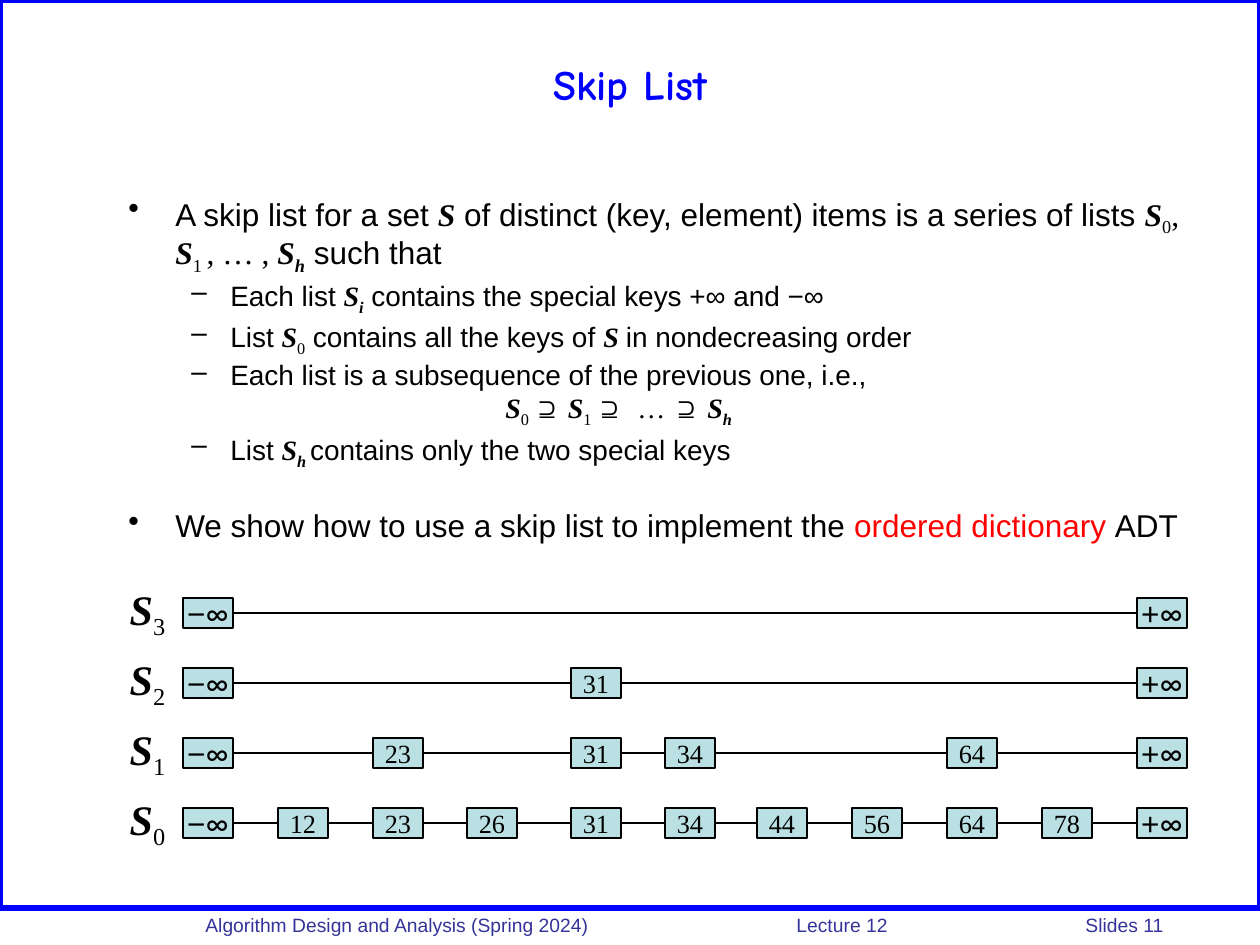
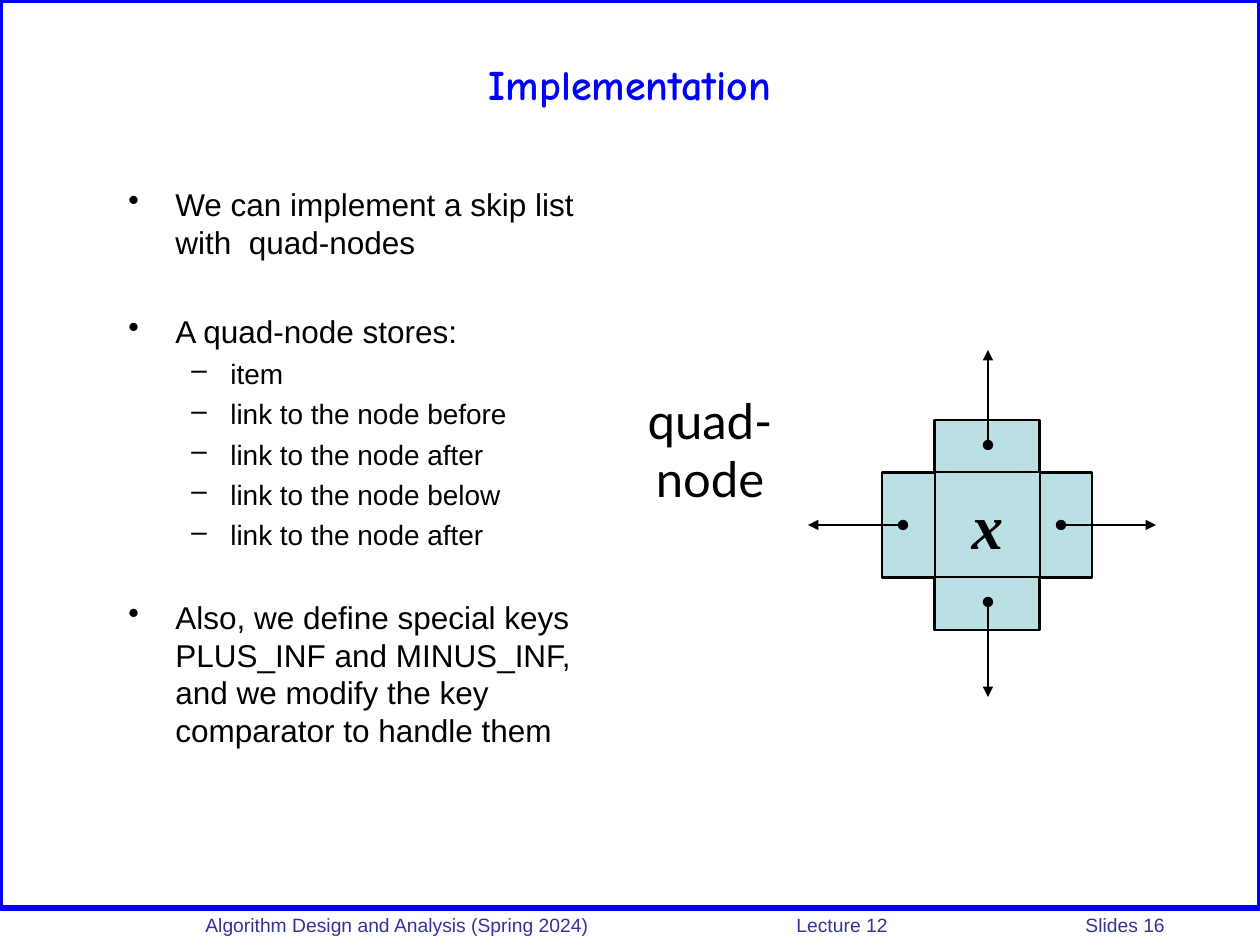
from dataclasses import dataclass
from itertools import pairwise
from typing import Sequence

from lxml.etree import SubElement
from pptx import Presentation
from pptx.dml.color import RGBColor
from pptx.enum.shapes import MSO_CONNECTOR, MSO_SHAPE
from pptx.enum.text import MSO_ANCHOR, PP_ALIGN
from pptx.oxml.ns import qn
from pptx.util import Emu, Pt

PX = 914400 / 126
BLUE = RGBColor(0x00, 0x00, 0xFF)
INDIGO = RGBColor(0x33, 0x33, 0x99)
BLACK = RGBColor(0x00, 0x00, 0x00)
RED = RGBColor(0xFF, 0x00, 0x00)
AQUA = RGBColor(0xBB, 0xE0, 0xE3)
SANS, SERIF, TITLE_FONT, LATO = "Arial", "Times New Roman", "Comic Neue", "Lato"

FOOTER_STOPS = (25, 616, 905)
NODE_WIDTH, NODE_HEIGHT = 50, 30
FIRST_ROW_TOP, ROW_PITCH = 598, 70
MINUS_INF, PLUS_INF = "−∞", "+∞"
NODE_LEFTS = {MINUS_INF: 183, "12": 278, "23": 373, "26": 467, "31": 571, "34": 665,
              "44": 757, "56": 852, "64": 947, "78": 1042, PLUS_INF: 1137}


@dataclass(frozen=True)
class Run:
    """A stretch of text in one format."""
    text: str
    font: str = SANS
    bold: bool = False
    italic: bool = False
    lowered: bool = False
    color: RGBColor = BLACK


@dataclass(frozen=True)
class Level:
    """The look of one outline level, with lengths in px."""
    size: int
    margin: int
    hanging: int = 0
    bullet: str = ""
    space_ratio: float = 0.24


@dataclass(frozen=True)
class Item:
    """One outline paragraph, with an optional extra gap above in points."""
    level: Level
    runs: Sequence[Run]
    gap: float = 0


@dataclass(frozen=True)
class SkipRow:
    """One list of the skip list, named by its index."""
    index: str
    keys: Sequence[str]


@dataclass(frozen=True)
class Pointer:
    """An arrow leaving the node centre, starting at a distance in px."""
    across: int
    down: int
    start: int


POINT = Level(18, 47, 47, "•")
DETAIL = Level(16, 102, 39, "–")
FORMULA = Level(16, 377, space_ratio=0)


def plain(text: str) -> Run:
    """Return body text."""
    return Run(text)


def serif(text: str) -> Run:
    """Return upright mathematical text."""
    return Run(text, SERIF)


def variable(text: str) -> Run:
    """Return a variable name."""
    return Run(text, SERIF, bold=True, italic=True)


def digit_below(text: str) -> Run:
    """Return an upright subscript."""
    return Run(text, SERIF, lowered=True)


def letter_below(text: str) -> Run:
    """Return a subscript that is itself a variable."""
    return Run(text, SERIF, bold=True, italic=True, lowered=True)


SKIP_LIST_ITEMS = (
    Item(POINT, (plain("A skip list for a set "), variable("S"),
                 plain(" of distinct (key, element) items is a series of lists "),
                 variable("S"), digit_below("0"), serif(", "), variable("S"),
                 digit_below("1 "), serif(", … , "), variable("S"), letter_below("h"),
                 plain(" such that"))),
    Item(DETAIL, (plain("Each list "), variable("S"), letter_below("i"),
                  plain(" contains the special keys +∞ and −∞"))),
    Item(DETAIL, (plain("List "), variable("S"), digit_below("0"),
                  plain(" contains all the keys of "), variable("S "),
                  plain("in nondecreasing order"))),
    Item(DETAIL, (plain("Each list is a subsequence of the previous one, i.e.,"),)),
    Item(FORMULA, (variable("S"), digit_below("0 "), serif("⊇ "), variable("S"),
                   digit_below("1 "), serif("⊇  … ⊇ "), variable("S"), letter_below("h"))),
    Item(DETAIL, (plain("List "), variable("S"), letter_below("h "),
                  plain("contains only the two special keys"))),
    Item(POINT, (plain("We show how to use a skip list to implement the "),
                 Run("ordered dictionary ", color=RED), plain("ADT")), gap=20.4),
)
QUAD_NODE_ITEMS = (
    Item(POINT, (plain("We can implement a skip list with  quad-nodes"),)),
    Item(POINT, (plain("A quad-node stores:"),), gap=25),
    *(Item(DETAIL, (plain(text),)) for text in (
        "item", "link to the node before", "link to the node after",
        "link to the node below", "link to the node after")),
    Item(POINT, (plain("Also, we define special keys PLUS_INF and MINUS_INF, "
                       "and we modify the key comparator to handle them"),), gap=22.2),
)
SKIP_ROWS = (
    SkipRow("3", (MINUS_INF, PLUS_INF)),
    SkipRow("2", (MINUS_INF, "31", PLUS_INF)),
    SkipRow("1", (MINUS_INF, "23", "31", "34", "64", PLUS_INF)),
    SkipRow("0", tuple(NODE_LEFTS)),
)
POINTERS = (Pointer(1, 0, 73), Pointer(-1, 0, 85), Pointer(0, -1, 80), Pointer(0, 1, 77))


def px(length: float) -> Emu:
    """Turn px into EMU."""
    return Emu(round(length * PX))


def add_run(paragraph, text: str, *, size: float, font: str = SANS, color: RGBColor = BLACK,
            bold: bool = False, italic: bool = False, lowered: bool = False) -> None:
    """Add formatted text to a paragraph."""
    run = paragraph.add_run()
    run.text = text
    run.font.size, run.font.name = Pt(size), font
    run.font.bold, run.font.italic = bold, italic
    run.font.color.rgb = color
    if lowered:
        run._r.get_or_add_rPr().set("baseline", "-25000")


def add_runs(paragraph, runs: Sequence[Run], size: float) -> None:
    """Add several runs of one size."""
    for run in runs:
        add_run(paragraph, run.text, size=size, font=run.font, color=run.color,
                bold=run.bold, italic=run.italic, lowered=run.lowered)


def add_text_box(slide, left: int, top: int, width: int, height: int, *, wrap: bool = True,
                 centered: bool = False):
    """Add an empty text box and return its text frame."""
    frame = slide.shapes.add_textbox(px(left), px(top), px(width), px(height)).text_frame
    frame.word_wrap = wrap
    if centered:
        frame.paragraphs[0].alignment = PP_ALIGN.CENTER
    return frame


def add_block(slide, left: int, top: int, width: int, height: int, *,
              kind: MSO_SHAPE = MSO_SHAPE.RECTANGLE, fill: RGBColor | None = AQUA,
              line: RGBColor = BLACK, weight: float = 1.5,
              runs: Sequence[Run] = (), size: float = 15):
    """Add an outlined shape with optional centred text."""
    shape = slide.shapes.add_shape(kind, px(left), px(top), px(width), px(height))
    shape.shadow.inherit = False
    if fill is None:
        shape.fill.background()
    else:
        shape.fill.solid()
        shape.fill.fore_color.rgb = fill
    shape.line.color.rgb, shape.line.width = line, Pt(weight)
    if runs:
        frame = shape.text_frame
        frame.word_wrap, frame.vertical_anchor = False, MSO_ANCHOR.MIDDLE
        frame.margin_left = frame.margin_right = frame.margin_top = frame.margin_bottom = 0
        frame.paragraphs[0].alignment = PP_ALIGN.CENTER
        add_runs(frame.paragraphs[0], runs, size)
    return shape


def add_line(slide, start: tuple[int, int], end: tuple[int, int], *, arrow: bool = False) -> None:
    """Add a black line, as a pointer if asked."""
    connector = slide.shapes.add_connector(
        MSO_CONNECTOR.STRAIGHT, *(px(length) for length in (*start, *end)))
    connector.line.color.rgb, connector.line.width = BLACK, Pt(1.5)
    SubElement(connector._element.spPr, qn("a:effectLst"))
    if arrow:
        outline = connector.line._get_or_add_ln()
        SubElement(outline, qn("a:headEnd"), type="oval")
        SubElement(outline, qn("a:tailEnd"), type="triangle")


def add_outline(slide, items: Sequence[Item], top: int, width: int, height: int,
                line_spacing: float) -> None:
    """Add the bulleted body text."""
    frame = add_text_box(slide, 116, top, width, height)
    for position, item in enumerate(items):
        paragraph = frame.add_paragraph() if position else frame.paragraphs[0]
        level = item.level
        properties = paragraph._p.get_or_add_pPr()
        properties.set("marL", str(px(level.margin)))
        properties.set("indent", str(px(-level.hanging)))
        if level.bullet:
            SubElement(properties, qn("a:buChar"), char=level.bullet)
        paragraph.line_spacing = line_spacing
        if position:
            paragraph.space_before = Pt(level.size * level.space_ratio + item.gap)
        add_runs(paragraph, item.runs, level.size)


def add_base_slide(presentation, title: str, number: int):
    """Add a slide with its frame, footer and title."""
    slide = presentation.slides.add_slide(presentation.slide_layouts[6])
    add_block(slide, 0, 0, 1260, 908, fill=None, line=BLUE, weight=3)
    footer = add_text_box(slide, 168, 907, 1092, 33).paragraphs[0]
    stops = SubElement(footer._p.get_or_add_pPr(), qn("a:tabLst"))
    for stop in FOOTER_STOPS:
        SubElement(stops, qn("a:tab"), pos=str(px(stop)), algn="l")
    add_run(footer, f"\tAlgorithm Design and Analysis (Spring 2024)\tLecture 12\tSlides {number}",
            size=11, color=INDIGO)
    frame = add_text_box(slide, 63, 21, 1134, 126, centered=True)
    frame.vertical_anchor = MSO_ANCHOR.MIDDLE
    add_run(frame.paragraphs[0], title, size=24, font=TITLE_FONT, color=BLUE, bold=True)
    return slide


def add_skip_row(slide, row: SkipRow, top: int) -> None:
    """Draw one list with its label, nodes and links."""
    label = add_text_box(slide, 116, top - 21, 63, 63, wrap=False, centered=True)
    add_runs(label.paragraphs[0], (variable("S"), digit_below(row.index)), 24)
    for key in row.keys:
        infinite = key in (MINUS_INF, PLUS_INF)
        runs = (plain(key[0]), Run(key[1], LATO)) if infinite else (serif(key),)
        add_block(slide, NODE_LEFTS[key], top, NODE_WIDTH, NODE_HEIGHT,
                  runs=runs, size=18 if infinite else 15)
    middle = top + NODE_HEIGHT // 2
    for key, following in pairwise(row.keys):
        add_line(slide, (NODE_LEFTS[key] + NODE_WIDTH + 1, middle),
                 (NODE_LEFTS[following] - 1, middle))


def add_quad_node(slide, center_x: int, center_y: int) -> None:
    """Draw the quad-node with its four pointers."""
    plus = add_block(slide, center_x - 106, center_y - 105, 210, 210, kind=MSO_SHAPE.CROSS)
    plus.adjustments[0] = 0.25
    add_block(slide, center_x - 53, center_y - 53, 105, 105, runs=(variable("x"),), size=36)
    for pointer in POINTERS:
        start, end = ((center_x + pointer.across * reach, center_y + pointer.down * reach)
                      for reach in (pointer.start, pointer.start + 95))
        add_line(slide, start, end, arrow=True)


def main() -> None:
    """Build and save both slides."""
    presentation = Presentation()
    presentation.slide_width, presentation.slide_height = px(1260), px(945)

    slide = add_base_slide(presentation, "Skip List", 11)
    add_outline(slide, SKIP_LIST_ITEMS, 189, 1092, 378, 0.9)
    for position, row in enumerate(SKIP_ROWS):
        add_skip_row(slide, row, FIRST_ROW_TOP + position * ROW_PITCH)

    slide = add_base_slide(presentation, "Implementation", 16)
    add_outline(slide, QUAD_NODE_ITEMS, 179, 525, 651, 1.0)
    add_quad_node(slide, 988, 525)
    caption = add_text_box(slide, 626, 384, 168, 130, centered=True)
    add_run(caption.paragraphs[0], "quad-node", size=28, font=LATO)

    presentation.save("out.pptx")


if __name__ == "__main__":
    main()
